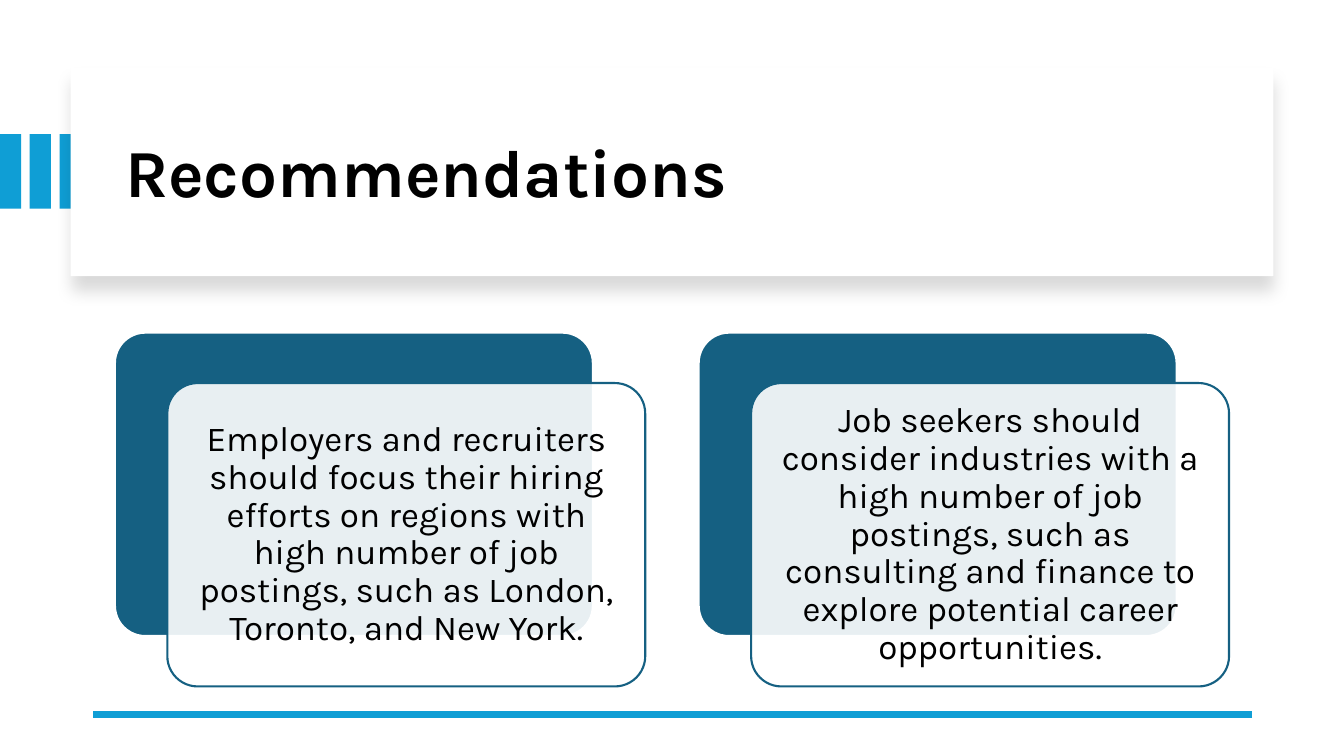
from lxml.etree import SubElement
from pptx import Presentation
from pptx.dml.color import RGBColor
from pptx.enum.shapes import MSO_CONNECTOR, MSO_SHAPE
from pptx.enum.text import MSO_ANCHOR, MSO_AUTO_SIZE, PP_ALIGN
from pptx.oxml.ns import qn
from pptx.util import Inches, Pt

FONT = "Karla"
ACCENT = "0F9ED5"
CARD_BLUE = "156082"
RECOMMENDATIONS = [
    "Employers and recruiters should focus their hiring efforts on regions with "
    "high number of job postings, such as London, Toronto, and New York.",
    "Job seekers should consider industries with a high number of job postings, "
    "such as consulting and finance to explore potential career opportunities.",
]


def color(value):
    """Turn a hex string into a colour."""
    return RGBColor.from_string(value)


def add_box(slide, kind, left, top, width, height, fill, line=None):
    """Add a filled shape without a shadow, outlined if a line colour is given."""
    shape = slide.shapes.add_shape(
        kind, Inches(left), Inches(top), Inches(width), Inches(height))
    shape.shadow.inherit = False
    shape.fill.solid()
    shape.fill.fore_color.rgb = color(fill)
    if line:
        shape.line.color.rgb = color(line)
        shape.line.width = Pt(1.5)
    else:
        shape.line.fill.background()
    return shape


def add_soft_shadow(shape):
    """Give a shape a faint blurred shadow falling straight down."""
    effects = shape.element.spPr.find(qn("a:effectLst"))
    shadow = SubElement(
        effects, qn("a:outerShdw"), blurRad=str(Pt(11)), dist=str(Pt(10)),
        dir="5400000", algn="t", rotWithShape="0")
    shade = SubElement(shadow, qn("a:srgbClr"), val="000000")
    SubElement(shade, qn("a:alpha"), val="15000")


def write_text(frame, text, size, bold=False):
    """Write one run into a middle-anchored, wrapping text frame."""
    frame.word_wrap = True
    frame.auto_size = MSO_AUTO_SIZE.NONE
    frame.vertical_anchor = MSO_ANCHOR.MIDDLE
    paragraph = frame.paragraphs[0]
    paragraph.line_spacing = 0.9
    run = paragraph.add_run()
    run.text = text
    run.font.name = FONT
    run.font.size = Pt(size)
    run.font.bold = bold
    run.font.color.rgb = color("000000")
    return paragraph


def add_header(slide, left, top, width, height):
    """Place the accent bars, the raised panel and the title."""
    for index in range(3):
        add_box(slide, MSO_SHAPE.RECTANGLE, index * 0.295, top + 0.66, 0.21, 0.74, ACCENT)
    panel = add_box(slide, MSO_SHAPE.RECTANGLE, left, top, width, height, "FFFFFF")
    add_soft_shadow(panel)
    title = slide.shapes.title
    title.left, title.top = Inches(left + 0.44), Inches(top + 0.22)
    title.width, title.height = Inches(width - 0.8), Inches(height - 0.37)
    paragraph = write_text(title.text_frame, "Recommendations", 48, True)
    paragraph.alignment = PP_ALIGN.LEFT
    panel.element.addnext(title.element)


def add_card(slide, left, top, width, height, text):
    """Place a blue card with a translucent card and its text offset over it."""
    back = add_box(slide, MSO_SHAPE.ROUNDED_RECTANGLE, left, top, width, height,
                   CARD_BLUE, "FFFFFF")
    left, top = left + 0.52, top + 0.5
    front = add_box(slide, MSO_SHAPE.ROUNDED_RECTANGLE, left, top, width, height,
                    "FFFFFF", CARD_BLUE)
    for shape in (back, front):
        shape.adjustments[0] = 0.1
    fill = front.element.spPr.find(qn("a:solidFill"))
    SubElement(fill[0], qn("a:alpha"), val="90000")
    inset = 0.09
    label = slide.shapes.add_textbox(
        Inches(left + inset), Inches(top + inset),
        Inches(width - 2 * inset), Inches(height - 2 * inset))
    frame = label.text_frame
    frame.margin_left = frame.margin_right = Inches(0.1)
    frame.margin_top = frame.margin_bottom = Inches(0.1)
    write_text(frame, text, 25).alignment = PP_ALIGN.CENTER


def add_footer_line(slide, left, top, width):
    """Draw the thick accent line under the cards."""
    line = slide.shapes.add_connector(
        MSO_CONNECTOR.STRAIGHT, Inches(left + width), Inches(top), Inches(left), Inches(top))
    line.line.color.rgb = color(ACCENT)
    line.line.width = Pt(4.5)
    SubElement(line.element.spPr, qn("a:effectLst"))


def build_slide(presentation):
    """Build the recommendations slide."""
    slide = presentation.slides.add_slide(presentation.slide_layouts[5])
    slide.background.fill.solid()
    slide.background.fill.fore_color.rgb = color("FFFFFF")
    add_header(slide, 0.7, 0.67, 11.93, 2.07)
    add_footer_line(slide, 0.92, 7.09, 11.5)
    for index, text in enumerate(RECOMMENDATIONS):
        add_card(slide, 1.14 + index * 5.79, 3.3, 4.74, 3.01, text)


def main():
    """Create and save the presentation."""
    presentation = Presentation()
    presentation.slide_width = Inches(13.33)
    presentation.slide_height = Inches(7.5)
    build_slide(presentation)
    presentation.save("out.pptx")


if __name__ == "__main__":
    main()
